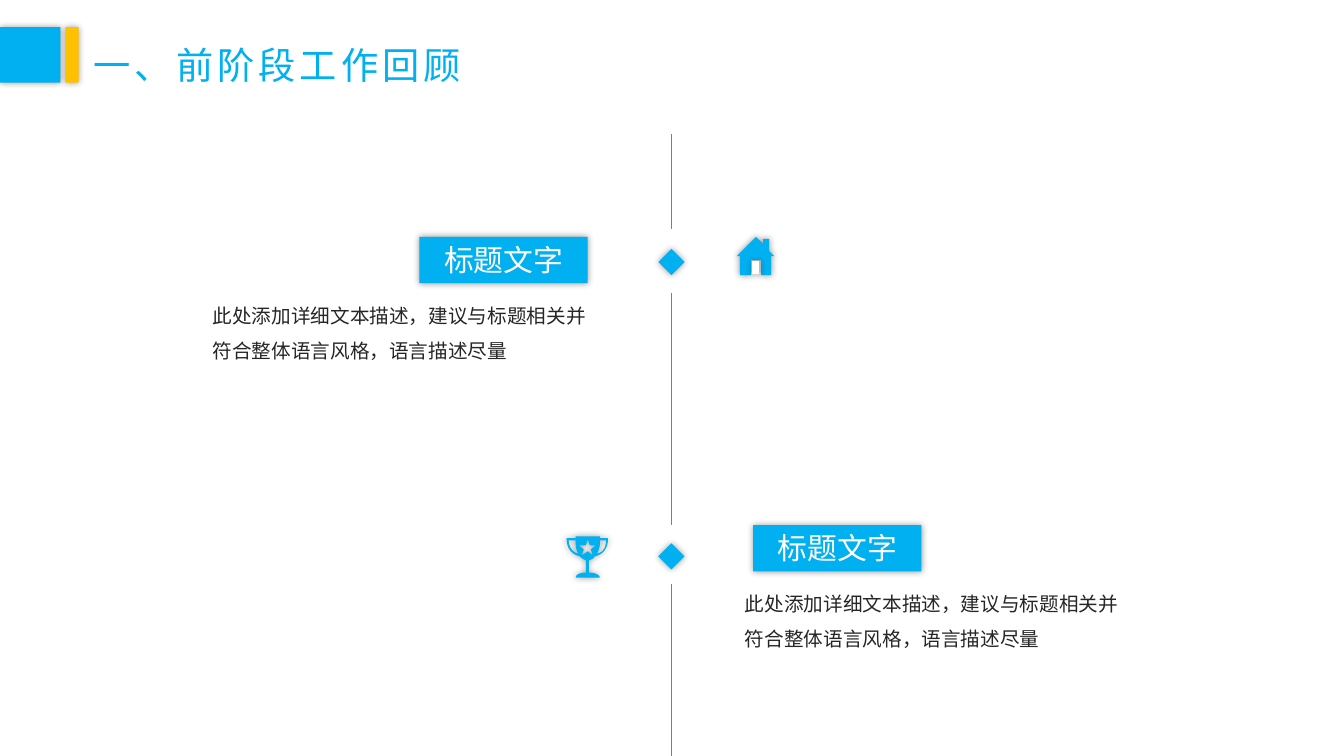
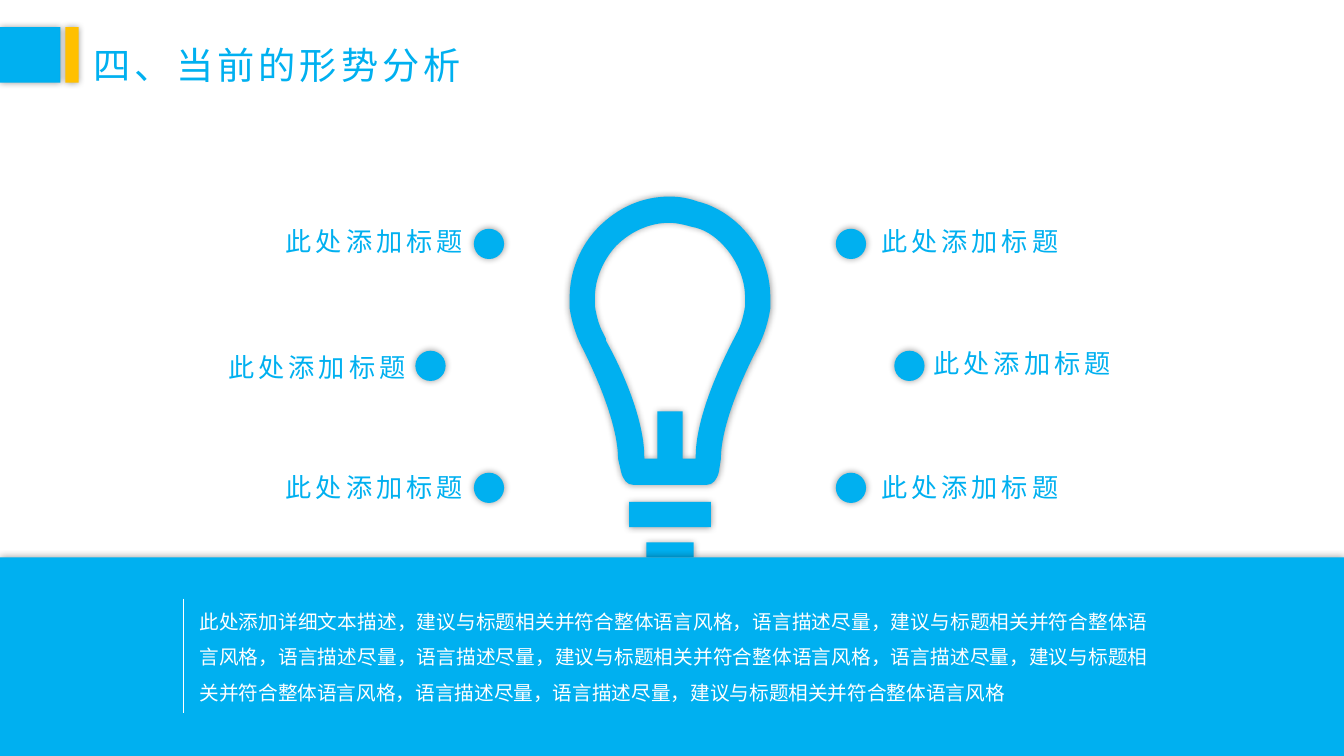
import dataclasses

import lxml.etree
import pptx
import pptx.dml.color
import pptx.enum.shapes
import pptx.enum.text
import pptx.oxml.ns
import pptx.util

Inches = pptx.util.Inches
Pt = pptx.util.Pt
SHAPE = pptx.enum.shapes.MSO_SHAPE
ALIGN = pptx.enum.text.PP_ALIGN
ANCHOR = pptx.enum.text.MSO_ANCHOR
qn = pptx.oxml.ns.qn


@dataclasses.dataclass(frozen=True)
class Theme:
    font: str = "Noto Sans CJK SC"
    blue: str = "00B0F0"
    amber: str = "FFC000"
    white: str = "FFFFFF"
    ink: str = "262626"
    axis: str = "7F7F7F"
    title: float = 26.6
    heading: float = 21.3
    label: float = 18.7
    body: float = 14
    single: float = 1.2
    spaced: float = 1.79
    tracking: int = 285


THEME = Theme()

HOUSE = [[(32, 14), (32, 2), (26, 2), (26, 7), (19, 0), (0, 19), (3, 19), (3, 38),
          (14, 38), (14, 23), (24, 23), (24, 38), (34, 38), (34, 19), (37, 19)]]

TROPHY = [
    [(29, 20), (30, 20, 31, 19, 32, 19), (43, 15, 42, 2, 42, 2), (34, 2), (34, 0),
     (10, 0), (10, 2), (1, 2), (1, 2, 0, 15, 11, 19), (12, 19, 13, 20, 14, 20),
     (16, 22, 18, 23, 20, 24), (20, 36), (14, 36, 10, 38, 10, 41), (34, 41),
     (34, 38, 29, 36, 23, 36), (23, 24), (26, 23, 28, 22, 29, 20)],
    [(34, 8), (34, 4), (40, 4), (40, 7, 40, 15, 32, 17), (32, 17, 31, 17, 31, 18),
     (32, 15, 34, 11, 34, 8)],
    [(12, 17), (4, 15, 3, 7, 3, 4), (10, 4), (10, 8), (10, 11, 11, 15, 13, 18)],
    [(22, 15), (16, 19), (18, 13), (13, 9), (20, 9), (22, 3), (24, 9), (30, 9),
     (25, 13), (27, 19)],
]

BULB = [
    [(170, 30), (159, 19, 144, 9, 127, 5), (119, 2, 110, 0, 99, 0),
     (72, 0, 48, 11, 29, 30), (10, 49, 0, 75, 0, 100), (0, 111),
     (2, 124, 6, 137, 12, 149), (12, 149, 48, 217, 48, 260), (51, 273),
     (53, 281, 57, 286, 63, 286), (136, 286), (142, 286, 146, 281, 148, 273),
     (150, 260), (150, 217, 187, 149, 187, 149), (193, 137, 197, 124, 199, 111),
     (199, 100), (199, 75, 189, 49, 170, 30)],
    [(174, 109), (172, 120, 170, 128, 165, 137), (161, 145, 125, 211, 125, 258),
     (125, 260), (112, 260), (112, 213), (87, 213), (87, 260), (74, 260), (74, 258),
     (74, 224, 55, 177, 36, 143), (36, 141), (34, 137), (29, 128, 27, 120, 25, 109),
     (25, 100), (25, 81, 34, 62, 46, 49), (61, 34, 80, 26, 99, 26),
     (106, 26, 114, 28, 121, 30), (133, 32, 144, 39, 153, 49),
     (165, 62, 174, 81, 174, 100)],
    [(59, 328), (140, 328), (140, 303), (59, 303)],
    [(76, 358), (123, 358), (123, 343), (76, 343)],
]


def rgb(color):
    return pptx.dml.color.RGBColor.from_string(color)


def finish(shape, color):
    shape.fill.solid()
    shape.fill.fore_color.rgb = rgb(color)
    shape.line.fill.background()
    shape.shadow.inherit = False
    effects = shape._element.spPr.find(qn("a:effectLst"))
    glow = lxml.etree.SubElement(effects, qn("a:outerShdw"), blurRad=str(Pt(5)), dist="0",
                                 algn="ctr", rotWithShape="0")
    black = lxml.etree.SubElement(glow, qn("a:srgbClr"), val="000000")
    lxml.etree.SubElement(black, qn("a:alpha"), val="40000")
    return shape


def add_block(shapes, kind, left, top, width, height, color=THEME.blue):
    block = shapes.add_shape(kind, Inches(left), Inches(top), Inches(width), Inches(height))
    return finish(block, color)


def hundredths(values):
    return [Inches(value / 100) for value in values]


def bend(outline, contours):
    segments = [segment for contour in contours for segment in contour[1:]]
    edges = list(outline._element.iter(qn("a:lnTo")))
    for edge, segment in zip(edges, segments):
        if len(segment) == 2:
            continue
        x1, y1, x2, y2, x3, y3 = hundredths(segment)
        end = edge.find(qn("a:pt"))
        shift_x, shift_y = int(end.get("x")) - x3, int(end.get("y")) - y3
        curve = lxml.etree.Element(qn("a:cubicBezTo"))
        for x, y in ((x1, y1), (x2, y2), (x3, y3)):
            lxml.etree.SubElement(curve, qn("a:pt"), x=str(x + shift_x), y=str(y + shift_y))
        edge.getparent().replace(edge, curve)


def add_icon(shapes, left, top, contours):
    corners = [[hundredths(segment[-2:]) for segment in contour] for contour in contours]
    builder = shapes.build_freeform(*corners[0][0])
    for index, (start, *rest) in enumerate(corners):
        if index:
            builder.move_to(*start)
        builder.add_line_segments(rest, close=True)
    outline = builder.convert_to_shape(Inches(left), Inches(top))
    bend(outline, contours)
    return finish(outline, THEME.blue)


def add_rule(slide, x, top, bottom, color):
    rule = slide.shapes.add_connector(pptx.enum.shapes.MSO_CONNECTOR.STRAIGHT,
                                      Inches(x), Inches(top), Inches(x), Inches(bottom))
    rule.line.color.rgb = rgb(color)
    rule.line.width = Pt(0.5)
    lxml.etree.SubElement(rule._element.spPr, qn("a:effectLst"))


def write(frame, words, size, color, align=ALIGN.LEFT, leading=THEME.single,
          tracking=0, anchor=ANCHOR.TOP, wrap=True):
    frame.word_wrap = wrap
    frame.vertical_anchor = anchor
    paragraph = frame.paragraphs[0]
    paragraph.text = words
    paragraph.alignment = align
    paragraph.line_spacing = Pt(size * leading)
    paragraph.font.size = Pt(size)
    paragraph.font.name = THEME.font
    paragraph.font.color.rgb = rgb(color)
    defaults = paragraph._p.pPr.find(qn("a:defRPr"))
    defaults.set("spc", str(tracking))
    lxml.etree.SubElement(defaults, qn("a:ea"), typeface=THEME.font)


def add_text(slide, left, top, width, height, words, size, color, **style):
    box = slide.shapes.add_textbox(Inches(left), Inches(top), Inches(width), Inches(height))
    write(box.text_frame, words, size, color, **style)


def new_slide(deck, title):
    slide = deck.slides.add_slide(deck.slide_layouts[6])
    add_text(slide, 0.83, 0.15, 3.93, 0.77, title, THEME.title, THEME.blue,
             leading=THEME.spaced, tracking=THEME.tracking, anchor=ANCHOR.MIDDLE, wrap=False)
    add_block(slide.shapes, SHAPE.RECTANGLE, 0, 0.27, 0.6, 0.55)
    add_block(slide.shapes, SHAPE.RECTANGLE, 0.65, 0.27, 0.13, 0.55, THEME.amber)
    return slide


def add_timeline(slide, x):
    for top, bottom in ((1.33, 2.27), (2.91, 5.21), (5.79, 7.5)):
        add_rule(slide, x, top, bottom, THEME.axis)
    for top in (2.47, 5.39):
        add_block(slide.shapes, SHAPE.DIAMOND, x - 0.13, top, 0.26, 0.26)


def add_milestone(slide, heading_left, detail_left, top):
    heading = add_block(slide.shapes, SHAPE.RECTANGLE, heading_left, top, 1.67, 0.46)
    write(heading.text_frame, "标题文字", THEME.heading, THEME.white, align=ALIGN.CENTER)
    add_text(slide, detail_left, top + 0.5, 4.03, 0.77,
             "此处添加详细文本描述，建议与标题相关并符合整体语言风格，语言描述尽量",
             THEME.body, THEME.ink, leading=THEME.spaced)


def add_house(slide, left, top):
    house = slide.shapes.add_group_shape()
    add_icon(house.shapes, left, top, HOUSE)
    add_block(house.shapes, SHAPE.RECTANGLE, left + 0.15, top + 0.24, 0.07, 0.13, THEME.white)


def build_review(deck):
    slide = new_slide(deck, "一、前阶段工作回顾")
    add_timeline(slide, 6.66)
    add_milestone(slide, 4.16, 2.01, 2.35)
    add_house(slide, 7.31, 2.35)
    add_milestone(slide, 7.47, 7.29, 5.21)
    add_icon(slide.shapes, 5.61, 5.32, TROPHY)


def add_point(slide, dot_left, dot_top, label_left, label_top, align):
    add_block(slide.shapes, SHAPE.OVAL, dot_left, dot_top, 0.3, 0.3)
    add_text(slide, label_left, label_top, 2.67, 0.42, "此处添加标题", THEME.label,
             THEME.blue, align=align, tracking=THEME.tracking)


def add_summary(slide, top):
    add_block(slide.shapes, SHAPE.RECTANGLE, 0, top, 13.33, 7.5 - top)
    add_rule(slide, 1.82, top + 0.41, top + 1.54, THEME.white)
    add_text(slide, 1.88, top + 0.36, 9.61, 1.12,
             "此处添加详细文本描述，建议与标题相关并符合整体语言风格，语言描述尽量，"
             "建议与标题相关并符合整体语言风格，语言描述尽量，语言描述尽量，"
             "建议与标题相关并符合整体语言风格，语言描述尽量，"
             "建议与标题相关并符合整体语言风格，语言描述尽量，语言描述尽量，"
             "建议与标题相关并符合整体语言风格",
             THEME.body, THEME.white, align=ALIGN.JUSTIFY, leading=THEME.spaced)


def build_analysis(deck):
    slide = new_slide(deck, "四、当前的形势分析")
    add_icon(slide.shapes, 5.65, 1.95, BULB)
    rows = (
        (2.27, (4.7, 2.02, 2.19), (8.29, 8.64, 2.19)),
        (3.48, (4.12, 1.45, 3.44), (8.87, 9.16, 3.4)),
        (4.69, (4.7, 2.02, 4.63), (8.29, 8.64, 4.63)),
    )
    for dot_top, *sides in rows:
        for (dot_left, label_left, label_top), align in zip(sides, (ALIGN.RIGHT, ALIGN.LEFT)):
            add_point(slide, dot_left, dot_top, label_left, label_top, align)
    add_summary(slide, 5.53)


def main():
    deck = pptx.Presentation()
    deck.slide_width = Inches(13.33)
    deck.slide_height = Inches(7.5)
    build_review(deck)
    build_analysis(deck)
    deck.save("out.pptx")


if __name__ == "__main__":
    main()
